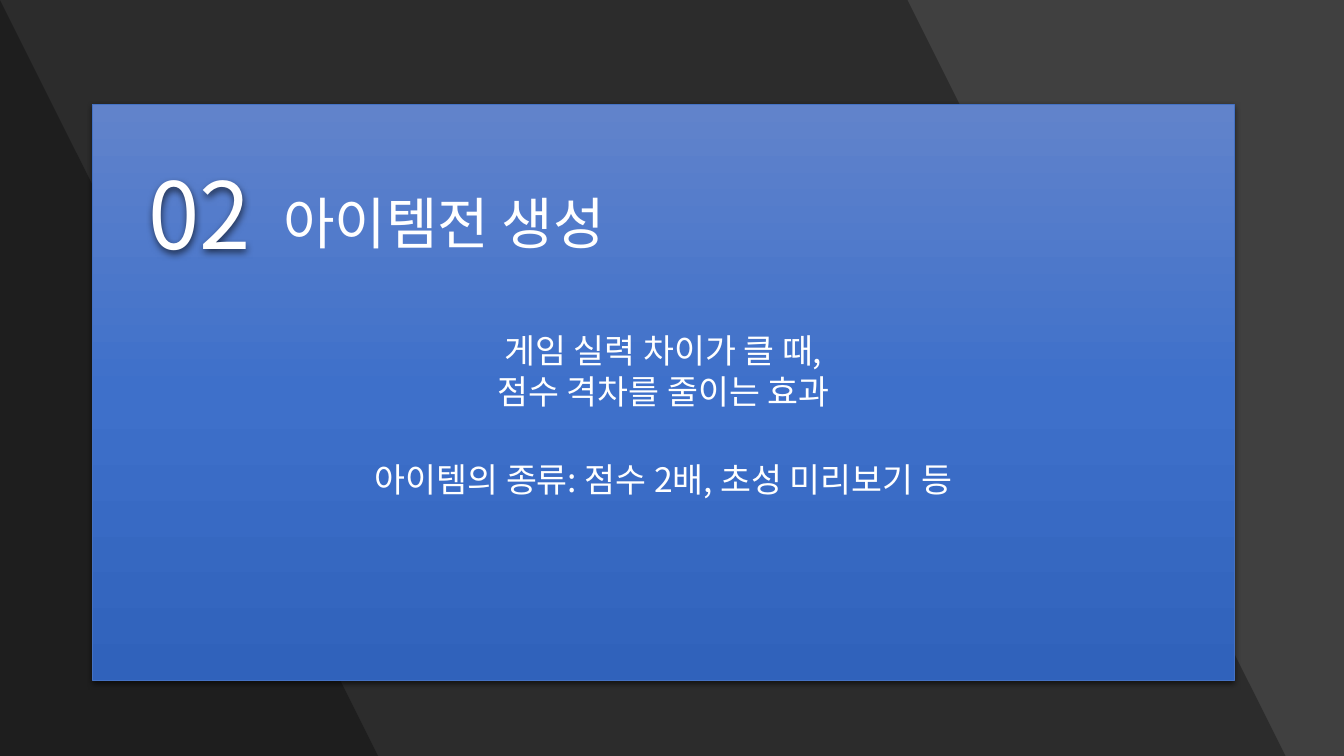
from copy import deepcopy
from dataclasses import dataclass

from lxml.etree import SubElement
from pptx import Presentation
from pptx.dml.color import RGBColor as RGB
from pptx.enum.shapes import MSO_SHAPE as SHAPE
from pptx.enum.text import MSO_ANCHOR as ANCHOR, PP_ALIGN as ALIGN
from pptx.oxml.ns import qn
from pptx.util import Inches, Pt


@dataclass(frozen=True)
class Theme:
    font: str = "Noto Sans CJK KR"
    background: RGB = RGB(0x40, 0x40, 0x40)
    shade: RGB = RGB(0, 0, 0)
    text: RGB = RGB(0xFF, 0xFF, 0xFF)
    border: RGB = RGB(0x44, 0x72, 0xC4)
    gradient: tuple = ("6183CB", "3E70CA", "3062BB")
    number_size: Pt = Pt(66)
    title_size: Pt = Pt(40)
    body_size: Pt = Pt(24)


def add_shadow(shape):
    shape.shadow.inherit = False
    effects = shape._element.spPr.find(qn("a:effectLst"))
    shadow = SubElement(effects, qn("a:outerShdw"), blurRad=str(Pt(4.5)),
                        dist=str(Pt(1.5)), dir="5400000", algn="ctr", rotWithShape="0")
    color = SubElement(shadow, qn("a:srgbClr"), val=str(theme.shade))
    SubElement(color, qn("a:alpha"), val="63000")


def style_text(paragraph, size, alignment):
    paragraph.alignment = alignment
    font = paragraph.font
    font.name, font.size = theme.font, size
    font.color.rgb = theme.text
    SubElement(font._element, qn("a:ea"), typeface=theme.font)


theme = Theme()
presentation = Presentation()
presentation.slide_width = Inches(13.33)
presentation.slide_height = Inches(7.5)
slide = presentation.slides.add_slide(presentation.slide_layouts[5])
slide.background.fill.solid()
slide.background.fill.fore_color.rgb = theme.background

for top_right, bottom_right in ((9.42, 12.89), (0.44, 3.92)):
    builder = slide.shapes.build_freeform(0, 0, scale=Inches(1))
    builder.add_line_segments([(top_right, 0), (bottom_right, 7.5), (0, 7.5)])
    band = builder.convert_to_shape()
    band.shadow.inherit = False
    band.line.fill.background()
    band.fill.solid()
    band.fill.fore_color.rgb = theme.shade
    color = band._element.spPr.find(".//" + qn("a:srgbClr"))
    SubElement(color, qn("a:alpha"), val="30000")

left, top, width = Inches(0.92), Inches(1.04), Inches(11.32)
header_height = Inches(2.28)
panel = slide.shapes.add_shape(SHAPE.RECTANGLE, left, top, width, Inches(5.71))
panel.fill.gradient()
panel.fill.gradient_angle = 270
stop_list = panel._element.spPr.find(".//" + qn("a:gsLst"))
stop_list.append(deepcopy(stop_list[0]))
for index, (stop, value) in enumerate(zip(panel.fill.gradient_stops, theme.gradient)):
    stop.position = index / 2
    stop.color.rgb = RGB.from_string(value)
panel.line.color.rgb = theme.border
panel.line.width = Pt(0.5)
add_shadow(panel)

frame = panel.text_frame
frame.word_wrap = True
frame.vertical_anchor = ANCHOR.TOP
frame.margin_left = frame.margin_right = Inches(0.55)
frame.margin_top, frame.margin_bottom = header_height, Inches(0.36)
frame.text = "게임 실력 차이가 클 때,\n점수 격차를 줄이는 효과\n아이템의 종류: 점수 2배, 초성 미리보기 등"
for paragraph in frame.paragraphs:
    style_text(paragraph, theme.body_size, ALIGN.CENTER)
    paragraph.line_spacing = 0.9
    paragraph.space_after = Pt(3)
frame.paragraphs[-1].space_before = Pt(34.3)

number = slide.shapes.add_shape(SHAPE.RECTANGLE, left, top, width, header_height)
number.fill.background()
number.line.fill.background()
add_shadow(number)
frame = number.text_frame
frame.vertical_anchor = ANCHOR.MIDDLE
frame.margin_left = frame.margin_right = Inches(0.55)
frame.margin_top = frame.margin_bottom = Inches(0.18)
frame.text = "02"
style_text(frame.paragraphs[0], theme.number_size, ALIGN.LEFT)
frame.paragraphs[0].line_spacing = 0.9

title = slide.shapes.title
title.left, title.top, title.width, title.height = map(Inches, (2.43, 1.82, 6.62, 0.77))
frame = title.text_frame
frame.word_wrap = True
frame.vertical_anchor = ANCHOR.TOP
frame.margin_left = Inches(0.38)
frame.text = "아이템전 생성"
style_text(frame.paragraphs[0], theme.title_size, ALIGN.LEFT)
slide.shapes._spTree.append(title._element)

presentation.save("out.pptx")
